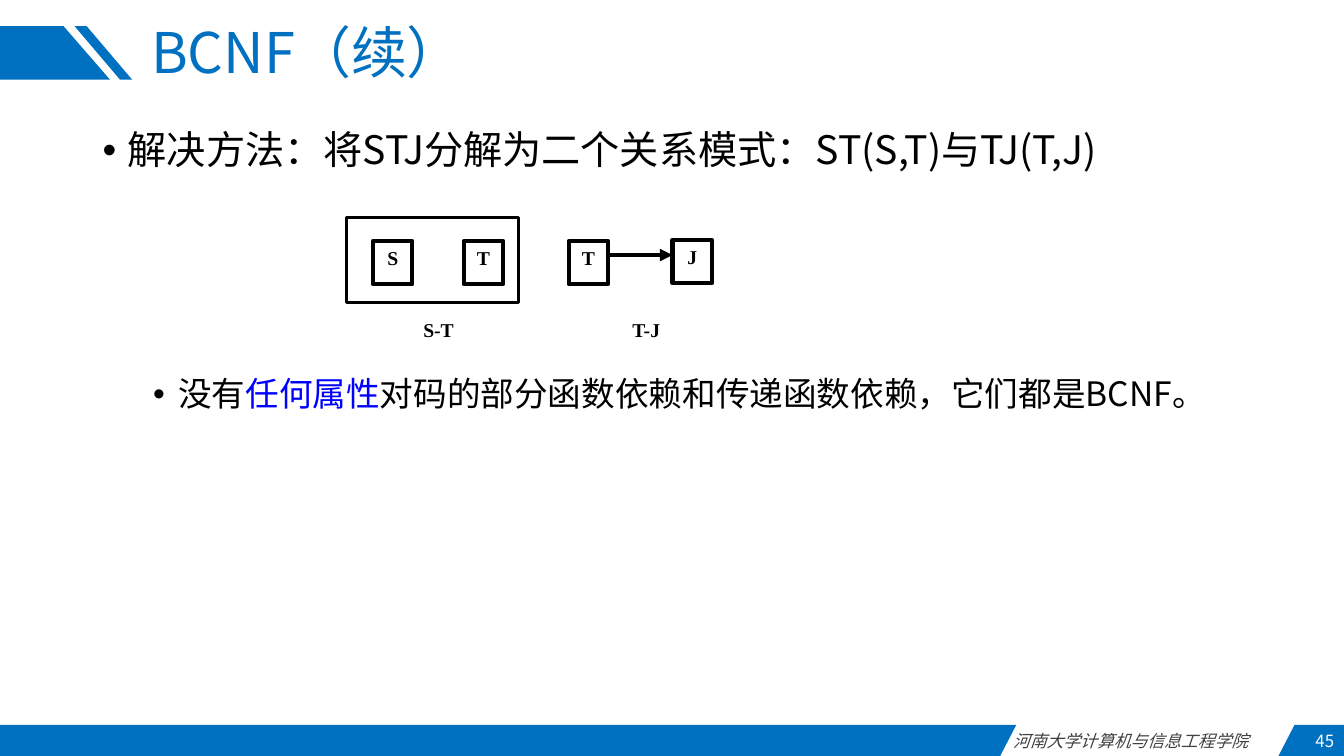
from dataclasses import dataclass

from lxml.etree import SubElement
from pptx import Presentation
from pptx.dml.color import RGBColor
from pptx.enum.shapes import MSO_CONNECTOR, MSO_SHAPE
from pptx.enum.text import MSO_ANCHOR, PP_ALIGN
from pptx.oxml.ns import qn
from pptx.util import Inches, Pt

BLUE = RGBColor(0x00, 0x70, 0xC0)
LINK_BLUE = RGBColor(0x00, 0x00, 0xFF)
BLACK = RGBColor(0x00, 0x00, 0x00)
GRAY = RGBColor(0x40, 0x40, 0x40)
WHITE = RGBColor(0xFF, 0xFF, 0xFF)
SANS = "Noto Sans CJK SC"
SERIF = "Times New Roman"


@dataclass(frozen=True)
class Node:
    text: str
    left: float
    top: float


@dataclass(frozen=True)
class Caption:
    text: str
    left: float


BANDS = [
    [(0, 0.26), (0.63, 0.26), (1.09, 0.79), (0, 0.79)],
    [(0.86, 0.26), (1.31, 0.79), (1.19, 0.79), (0.74, 0.26)],
    [(0, 7.19), (10.08, 7.19), (9.92, 7.5), (0, 7.5)],
    [(12.84, 7.19), (13.33, 7.19), (13.33, 7.5), (12.68, 7.5)],
]
NODES = [Node("S", 3.7, 2.39), Node("T", 4.6, 2.39), Node("T", 5.64, 2.39), Node("J", 6.67, 2.38)]
CAPTIONS = [Caption("S-T", 4.09), Caption("T-J", 6.15)]


def add_span(para, text: str, *, size: float, color: RGBColor = BLACK, font: str = SANS,
             bold: bool = False, italic: bool = False) -> None:
    span = para.add_run()
    span.text = text
    span.font.size = Pt(size)
    span.font.bold = bold
    span.font.italic = italic
    span.font.color.rgb = color
    span.font.name = font
    SubElement(span.font._element, qn("a:ea")).set("typeface", font)


def add_box(slide, left: float, top: float, width: float, height: float):
    box = slide.shapes.add_textbox(Inches(left), Inches(top), Inches(width), Inches(height))
    box.text_frame.word_wrap = True
    return box.text_frame


def add_footer_text(slide, text: str, left: float, width: float, align: PP_ALIGN,
                    color: RGBColor, italic: bool = False) -> None:
    frame = add_box(slide, left, 7.2, width, 0.3)
    frame.margin_top = frame.margin_bottom = 0
    frame.vertical_anchor = MSO_ANCHOR.MIDDLE
    para = frame.paragraphs[0]
    para.alignment = align
    add_span(para, text, size=12, color=color, italic=italic)


def add_band(slide, points: list[tuple[float, float]]) -> None:
    start, *rest = [(Inches(x), Inches(y)) for x, y in points]
    builder = slide.shapes.build_freeform(*start)
    builder.add_line_segments(rest, close=True)
    band = builder.convert_to_shape()
    band.shadow.inherit = False
    band.fill.solid()
    band.fill.fore_color.rgb = BLUE
    band.line.fill.background()


def add_frame(slide, left: float, top: float, width: float, height: float, weight: float):
    shape = slide.shapes.add_shape(MSO_SHAPE.RECTANGLE, Inches(left), Inches(top),
                                   Inches(width), Inches(height))
    shape.shadow.inherit = False
    shape.fill.background()
    shape.line.color.rgb = BLACK
    shape.line.width = Pt(weight)
    return shape


def add_label(frame, text: str) -> None:
    frame.margin_left = frame.margin_right = 0
    frame.vertical_anchor = MSO_ANCHOR.TOP
    para = frame.paragraphs[0]
    para.alignment = PP_ALIGN.CENTER
    add_span(para, text, size=14, font=SERIF, bold=True)


def add_arrow(slide, start: float, end: float, y: float) -> None:
    arrow = slide.shapes.add_connector(MSO_CONNECTOR.STRAIGHT, Inches(start), Inches(y),
                                       Inches(end), Inches(y))
    arrow.line.color.rgb = BLACK
    arrow.line.width = Pt(3)
    SubElement(arrow.line._get_or_add_ln(), qn("a:tailEnd")).set("type", "triangle")
    SubElement(arrow._element.spPr, qn("a:effectLst"))


def format_bullet(para, indent: float) -> None:
    para.line_spacing = 0.9
    properties = para._p.get_or_add_pPr()
    properties.set("marL", str(Inches(indent)))
    properties.set("indent", str(Inches(-0.25)))
    SubElement(properties, qn("a:buFont")).set("typeface", "Arial")
    SubElement(properties, qn("a:buChar")).set("char", "•")


def main() -> None:
    deck = Presentation()
    deck.slide_width = Inches(13.33)
    deck.slide_height = Inches(7.5)
    page = deck.slides.add_slide(deck.slide_layouts[5])

    # Header and footer bands
    for points in BANDS:
        add_band(page, points)
    add_footer_text(page, "河南大学计算机与信息工程学院", 9.95, 2.73, PP_ALIGN.LEFT, GRAY, italic=True)
    add_footer_text(page, "45", 11.94, 1.39, PP_ALIGN.RIGHT, WHITE)

    # Title
    title = page.shapes.title
    title.left, title.top = Inches(1.4), Inches(0.1)
    title.width, title.height = Inches(10.45), Inches(0.9)
    title.text_frame.vertical_anchor = MSO_ANCHOR.MIDDLE
    heading = title.text_frame.paragraphs[0]
    heading.alignment = PP_ALIGN.LEFT
    heading.line_spacing = 0.9
    add_span(heading, "BCNF（续）", size=40, color=BLUE)

    # Body, with room for the diagram between the two points
    body = add_box(page, 0.92, 1.25, 11.5, 5.72)
    method = body.paragraphs[0]
    format_bullet(method, 0.25)
    add_span(method, "解决方法：将STJ分解为二个关系模式：ST(S,T)与TJ(T,J)", size=28)
    result = body.add_paragraph()
    result.space_before = Pt(146)
    format_bullet(result, 0.75)
    add_span(result, "没有", size=24)
    add_span(result, "任何属性", size=24, color=LINK_BLUE)
    add_span(result, "对码的部分函数依赖和传递函数依赖，它们都是BCNF。", size=24)

    # Decomposition diagram
    for node in NODES:
        add_label(add_frame(page, node.left, node.top, 0.39, 0.43, 3).text_frame, node.text)
    for caption in CAPTIONS:
        add_label(add_box(page, caption.left, 3.1, 0.52, 0.43), caption.text)
    add_arrow(page, 6.02, 6.67, 2.53)
    add_frame(page, 3.44, 2.16, 1.7, 0.84, 2.25)

    deck.save("out.pptx")


if __name__ == "__main__":
    main()
